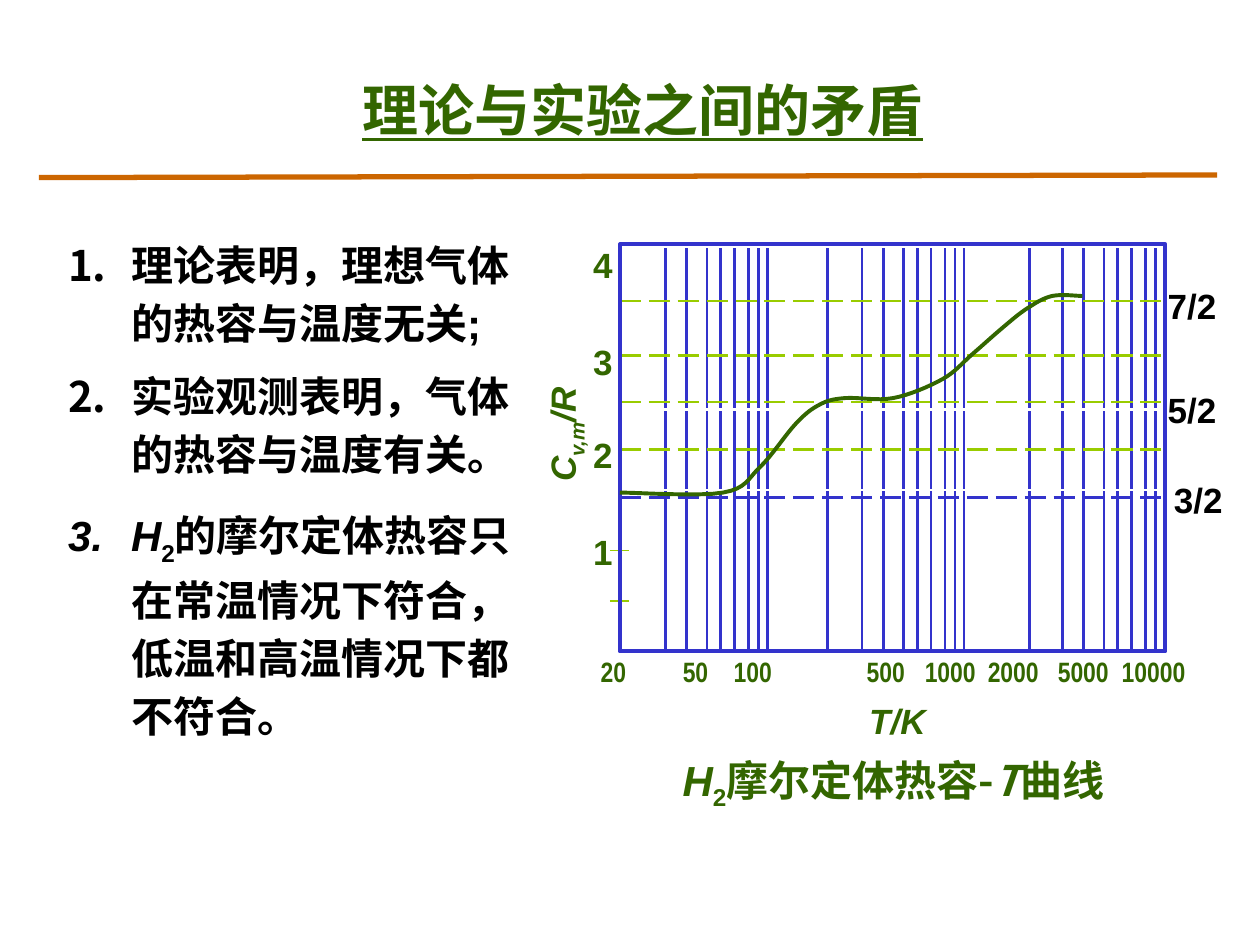
from dataclasses import dataclass

from lxml.etree import SubElement
from pptx import Presentation
from pptx.dml.color import RGBColor
from pptx.enum.dml import MSO_LINE
from pptx.enum.shapes import MSO_CONNECTOR, MSO_SHAPE
from pptx.enum.text import MSO_ANCHOR, MSO_AUTO_SIZE, PP_ALIGN
from pptx.oxml.ns import qn
from pptx.util import Pt


@dataclass(frozen=True)
class Theme:
    green: str = "336600"
    lime: str = "99CC00"
    blue: str = "3333CC"
    orange: str = "CC6600"
    black: str = "000000"
    white: str = "FFFFFF"
    latin: str = "Arial"
    narrow: str = "Arial Narrow"
    chinese: str = "Noto Sans CJK SC"
    title_size: int = 32
    body_size: int = 24
    label_size: int = 20
    tick_size: int = 16


class SlideBuilder:
    """Holds the theme and the current page; all lengths are points."""

    def __init__(self, page, theme):
        self.page = page
        self.theme = theme

    def span(self, para, text, size, color, font=None, style=""):
        run = para.add_run()
        run.text = text
        run.font.size = Pt(size)
        run.font.name = font or self.theme.latin
        run.font.color.rgb = RGBColor.from_string(color)
        run.font.bold = True
        run.font.italic = "italic" in style
        run.font.underline = "underline" in style
        properties = run.font._element
        if "sub" in style:
            properties.set("baseline", "-25000")
        east_asian = SubElement(properties, qn("a:ea"))
        east_asian.set("typeface", self.theme.chinese)

    def place(self, box, left, top, width, height):
        box.left, box.top = Pt(left), Pt(top)
        box.width, box.height = Pt(width), Pt(height)
        box.text_frame.auto_size = MSO_AUTO_SIZE.NONE
        box.text_frame.vertical_anchor = MSO_ANCHOR.TOP

    def title(self, text, *frame):
        box = self.page.shapes.title
        self.place(box, *frame)
        para = box.text_frame.paragraphs[0]
        para.alignment = PP_ALIGN.CENTER
        para.line_spacing = 1.3
        self.span(para, text, self.theme.title_size, self.theme.green, style="underline")

    def numbered_list(self, items, *frame):
        box = self.page.placeholders[1]
        self.place(box, *frame)
        for index, (space_before, spans) in enumerate(items):
            text_frame = box.text_frame
            para = text_frame.add_paragraph() if index else text_frame.paragraphs[0]
            para.line_spacing = 1.15
            para.space_before = Pt(space_before)
            properties = para._p.get_or_add_pPr()
            properties.set("marL", str(Pt(36)))
            properties.set("indent", str(Pt(-36)))
            bullet_color = SubElement(properties, qn("a:buClr"))
            SubElement(bullet_color, qn("a:srgbClr")).set("val", self.theme.black)
            SubElement(properties, qn("a:buFont")).set("typeface", self.theme.latin)
            SubElement(properties, qn("a:buAutoNum")).set("type", "arabicPeriod")
            for text, style in spans:
                self.span(para, text, self.theme.body_size, self.theme.black, style=style)

    def label(self, spans, left, top, width, height, size, color,
              wrap=False, rotation=0, tabs=()):
        box = self.page.shapes.add_textbox(Pt(left), Pt(top), Pt(width), Pt(height))
        box.rotation = rotation
        box.text_frame.word_wrap = wrap
        para = box.text_frame.paragraphs[0]
        para.line_spacing = 1.3
        if tabs:
            tab_list = SubElement(para._p.get_or_add_pPr(), qn("a:tabLst"))
            for position in tabs:
                stop = SubElement(tab_list, qn("a:tab"))
                stop.set("pos", str(Pt(position)))
                stop.set("algn", "l")
        for text, font, style in spans:
            self.span(para, text, size, color, font, style)

    def line(self, x1, y1, x2, y2, color, weight=1.5, dash=None):
        line = self.page.shapes.add_connector(
            MSO_CONNECTOR.STRAIGHT, Pt(x1), Pt(y1), Pt(x2), Pt(y2))
        self.outline(line, color, weight)
        if dash:
            line.line.dash_style = dash
        SubElement(line._element.spPr, qn("a:effectLst"))

    def outline(self, shape, color, weight):
        shape.line.color.rgb = RGBColor.from_string(color)
        shape.line.width = Pt(weight)

    def frame(self, left, top, width, height, color, weight):
        box = self.page.shapes.add_shape(
            MSO_SHAPE.RECTANGLE, Pt(left), Pt(top), Pt(width), Pt(height))
        box.fill.background()
        box.shadow.inherit = False
        self.outline(box, color, weight)

    def curve(self, knots, color, weight, steps=8):
        """Draw a smooth Catmull-Rom curve through the knots."""
        padded = [knots[0], *knots, knots[-1]]
        points = []
        for a, b, c, d in zip(padded, padded[1:], padded[2:], padded[3:]):
            for step in range(1, steps + 1):
                t = step / steps
                points.append(tuple(
                    Pt(0.5 * (2 * q + (r - p) * t + (2 * p - 5 * q + 4 * r - s) * t ** 2
                              + (3 * q - p - 3 * r + s) * t ** 3))
                    for p, q, r, s in zip(a, b, c, d)))
        start_x, start_y = knots[0]
        builder = self.page.shapes.build_freeform(Pt(start_x), Pt(start_y))
        builder.add_line_segments(points, close=False)
        shape = builder.convert_to_shape()
        shape.fill.background()
        shape.shadow.inherit = False
        self.outline(shape, color, weight)


def main():
    deck = Presentation()
    deck.slide_width, deck.slide_height = Pt(720), Pt(540)
    theme = Theme()
    slide = SlideBuilder(deck.slides.add_slide(deck.slide_layouts[1]), theme)

    # Title, rule below it and numbered statements
    slide.title("理论与实验之间的矛盾", 188.6, 28, 357, 58)
    slide.line(22.3, 101.5, 695.5, 100, theme.orange, 3)
    slide.numbered_list([
        (0, [("理论表明，理想气体的热容与温度无关;", "")]),
        (8.5, [("实验观测表明，气体的热容与温度有关。", "")]),
        (13, [("H", "italic"), ("2", "sub"),
              ("的摩尔定体热容只在常温情况下符合，低温和高温情况下都不符合。", "")]),
    ], 31.7, 128.9, 278, 300)

    # Caption and temperature ticks
    slide.label([("H", None, "italic"), ("2", None, "sub"),
                 ("摩尔定体热容-", theme.chinese, ""), ("T", theme.chinese, "italic"),
                 ("曲线", theme.chinese, "")],
                383, 417.6, 266.4, 87, theme.body_size, theme.green, wrap=True)
    ticks = ["20", "50", "100", "500", "1000", "2000", "5000", "10000"]
    slide.label([("\t".join(ticks), theme.narrow, "")],
                336.2, 365, 476, 32.4, theme.tick_size, theme.green, wrap=True,
                tabs=[46.9, 76, 152, 185.2, 221.2, 261.2, 297.7])

    # Logarithmic grid: the same spacing in each decade
    plot_left, plot_right, plot_top, plot_bottom = 354.2, 665.3, 141.8, 372.2
    offsets = [0, 12.2, 23.8, 31.7, 39.6, 47.5, 53.3, 58.3]
    grid = [473, 588.2] + [first + offset for first in (380.2, 492.5, 607)
                           for offset in offsets]
    for x in grid:
        slide.line(x, plot_top, x, plot_bottom, theme.blue)
    slide.frame(plot_left, 234, 310.3, 46.1, theme.white, 1.5)

    # Dashed levels and short ticks
    for y, color in [(284.4, theme.blue), (257, theme.lime), (229.7, theme.lime),
                     (203, theme.lime), (172.1, theme.lime)]:
        slide.line(plot_left, y, plot_right, y, color, dash=MSO_LINE.LONG_DASH)
    for y in (314.6, 343.4):
        slide.line(348.5, y, 359.3, y, theme.lime, 0.75)

    # Axis numbers, axis names and theoretical values
    for number, top in enumerate([292.3, 236.9, 183.6, 128.2], start=1):
        slide.label([(str(number), None, "")], 331.9, top, 25.9, 38.9,
                    theme.label_size, theme.green)
    slide.label([("T/K", None, "italic")], 489.6, 388.8, 48, 38.9,
                theme.label_size, theme.green)
    slide.label([("C", None, "italic"), ("v,m", None, "italic sub"), ("/R", None, "italic")],
                284.4, 226.1, 69.1, 43.2, theme.label_size, theme.green, rotation=270)
    for text, left, top in [("3/2", 663.8, 262.8), ("5/2", 660.2, 211), ("7/2", 660.2, 151.9)]:
        slide.label([(text, None, "")], left, top, 45, 38.9, theme.label_size, theme.black)

    # Plot border and heat capacity curve
    slide.frame(plot_left, 139.7, 311.8, 232.6, theme.blue, 2.25)
    slide.curve([
        (354.2, 281.5), (413.3, 281.5), (434.2, 267.1), (455, 241.9), (468.7, 231.1),
        (483.1, 227.5), (510.5, 227.5), (538.6, 216.7), (555.8, 202.3), (573.1, 187.2),
        (586.8, 176.4), (601.2, 169.2), (618.5, 169.2),
    ], theme.green, 2.25)

    deck.save("out.pptx")


if __name__ == "__main__":
    main()
